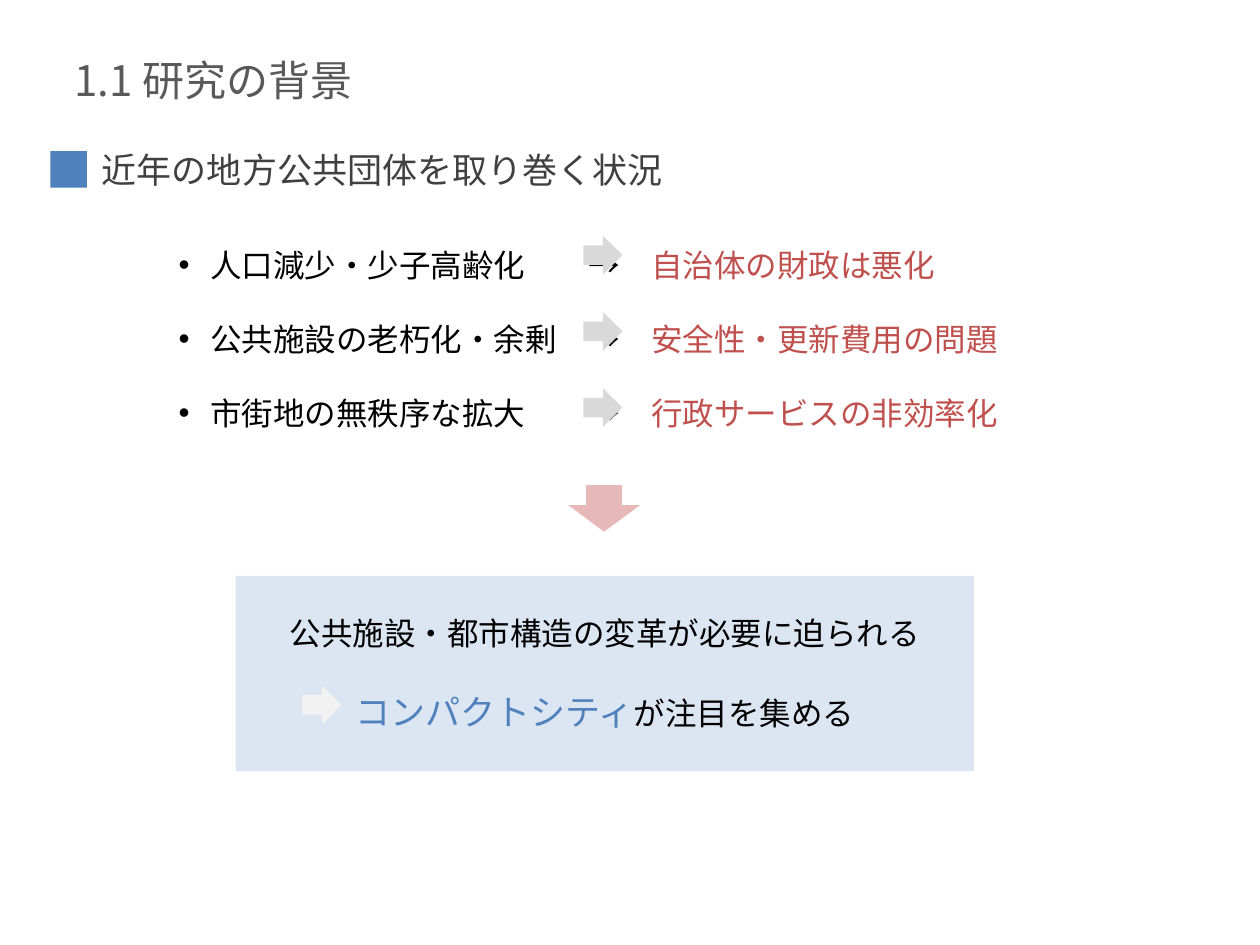
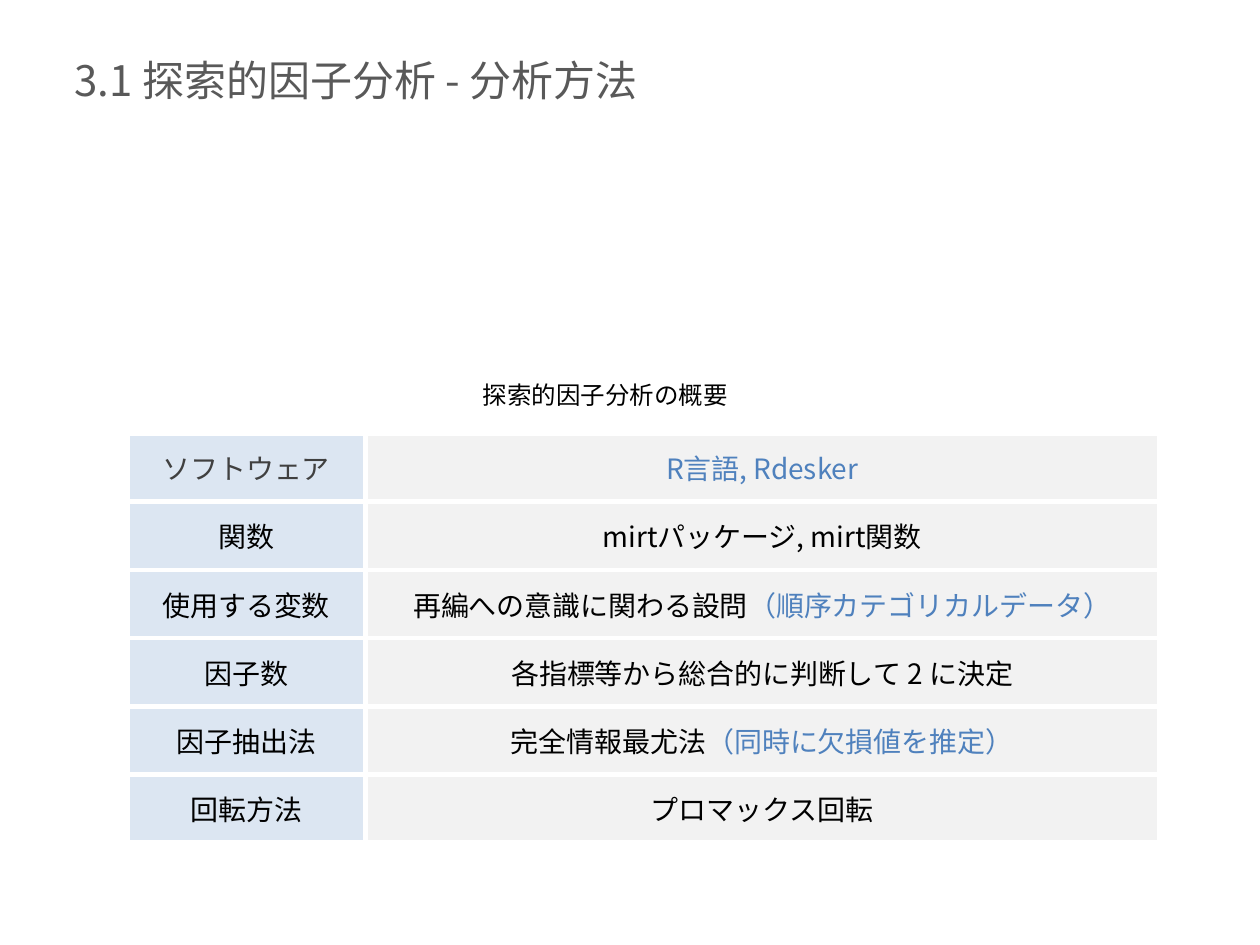
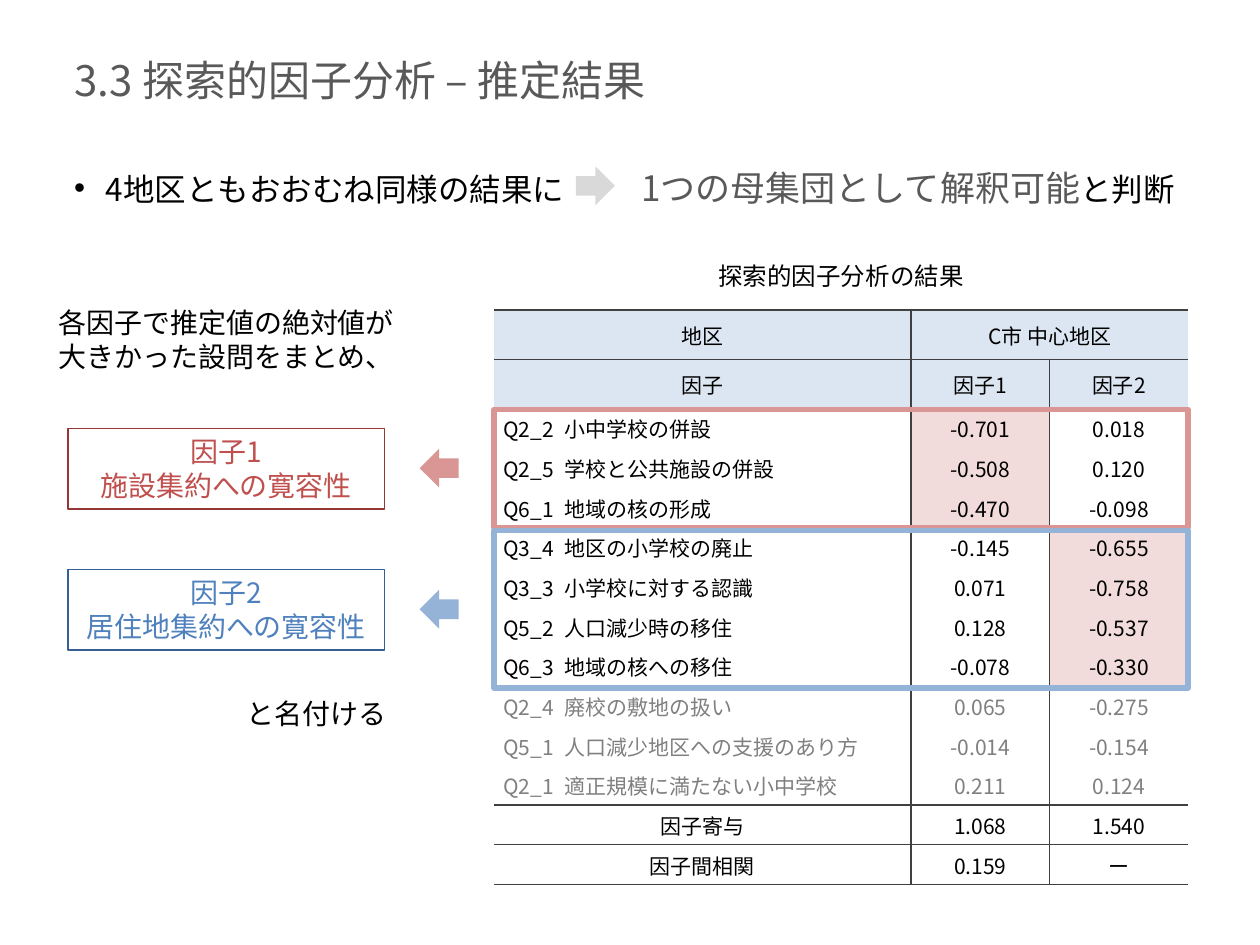
from lxml import etree
from pptx import Presentation
from pptx.dml.color import RGBColor
from pptx.enum import shapes, text
from pptx.oxml import ns
from pptx.util import Inches, Pt

FONT = "Noto Sans CJK JP"
BLACK = RGBColor(0x00, 0x00, 0x00)
WHITE = RGBColor(0xFF, 0xFF, 0xFF)
CHARCOAL = RGBColor(0x40, 0x40, 0x40)
TITLE_GRAY = RGBColor(0x59, 0x59, 0x59)
MUTED = RGBColor(0x80, 0x80, 0x80)
ARROW_GRAY = RGBColor(0xD9, 0xD9, 0xD9)
PALE_GRAY = RGBColor(0xF2, 0xF2, 0xF2)
BLUE = RGBColor(0x4F, 0x81, 0xBD)
DARK_BLUE = RGBColor(0x37, 0x60, 0x92)
SOFT_BLUE = RGBColor(0x95, 0xB3, 0xD7)
PALE_BLUE = RGBColor(0xDC, 0xE6, 0xF2)
RED = RGBColor(0xC0, 0x50, 0x4D)
DARK_RED = RGBColor(0x95, 0x37, 0x35)
SOFT_RED = RGBColor(0xD9, 0x96, 0x94)
ROSE = RGBColor(0xE6, 0xB9, 0xB8)
PALE_RED = RGBColor(0xF2, 0xDC, 0xDB)

SHAPE = shapes.MSO_SHAPE
LEFT, CENTER = text.PP_ALIGN.LEFT, text.PP_ALIGN.CENTER
TOP, MIDDLE = text.MSO_ANCHOR.TOP, text.MSO_ANCHOR.MIDDLE
ARROW_SIZE = 0.31
BULLET_INDENT = 0.25

SITUATIONS = [
    ("人口減少・少子高齢化", "自治体の財政は悪化"),
    ("公共施設の老朽化・余剰", "安全性・更新費用の問題"),
    ("市街地の無秩序な拡大", "行政サービスの非効率化"),
]

METHOD = [
    [("ソフトウェア", CHARCOAL), ("R言語, Rdesker", BLUE)],
    ["関数", "mirtパッケージ, mirt関数"],
    ["使用する変数", "再編への意識に関わる設問", ("（順序カテゴリカルデータ）", BLUE)],
    ["因子数", "各指標等から総合的に判断して 2 に決定"],
    ["因子抽出法", "完全情報最尤法", ("（同時に欠損値を推定）", BLUE)],
    ["回転方法", "プロマックス回転"],
]

ESTIMATES = [
    ("地区", "", "C市 中心地区", ""),
    ("因子", "", "因子1", "因子2"),
    ("Q2_2", "小中学校の併設", "-0.701", "0.018"),
    ("Q2_5", "学校と公共施設の併設", "-0.508", "0.120"),
    ("Q6_1", "地域の核の形成", "-0.470", "-0.098"),
    ("Q3_4", "地区の小学校の廃止", "-0.145", "-0.655"),
    ("Q3_3", "小学校に対する認識", "0.071", "-0.758"),
    ("Q5_2", "人口減少時の移住", "0.128", "-0.537"),
    ("Q6_3", "地域の核への移住", "-0.078", "-0.330"),
    ("Q2_4", "廃校の敷地の扱い", "0.065", "-0.275"),
    ("Q5_1", "人口減少地区への支援のあり方", "-0.014", "-0.154"),
    ("Q2_1", "適正規模に満たない小中学校", "0.211", "0.124"),
    ("因子寄与", "", "1.068", "1.540"),
    ("因子間相関", "", "0.159", "ー"),
]
HEADER_ROWS = range(0, 2)
FACTOR1_ROWS = range(2, 5)
FACTOR2_ROWS = range(5, 9)
MUTED_ROWS = range(9, 12)
SUMMARY_ROWS = range(12, 14)
# Rule widths in points, keyed by the row or column they precede
ROW_RULES = {0: 1, 1: 0.5, 2: 1, 12: 1, 13: 0.5, 14: 1}
COLUMN_RULES = {2: 1, 3: 0.5}


def write(frame, paragraphs, size=18, color=BLACK, align=LEFT, anchor=TOP,
          before=0, spacing=None, bullet=False, tabs=()):
    """Fill a frame; a paragraph lists runs, each a text or (text, colour[, size])."""
    frame.word_wrap = True
    frame.vertical_anchor = anchor
    for i, runs in enumerate(paragraphs):
        paragraph = frame.add_paragraph() if i else frame.paragraphs[0]
        paragraph.alignment = align
        paragraph.space_before = Pt(before)
        if spacing:
            paragraph.line_spacing = spacing
        add_indents(paragraph, bullet, tabs)
        for part in runs:
            words, *style = (part,) if isinstance(part, str) else part
            run = paragraph.add_run()
            run.text = words
            run.font.name = FONT
            run.font.color.rgb = style[0] if style else color
            run.font.size = Pt(style[1] if len(style) > 1 else size)
            etree.SubElement(run.font._element, ns.qn("a:ea"), typeface=FONT)


def add_indents(paragraph, bullet, tabs):
    props = paragraph._p.get_or_add_pPr()
    if bullet:
        props.set("marL", str(Inches(BULLET_INDENT)))
        props.set("indent", str(-Inches(BULLET_INDENT)))
        etree.SubElement(props, ns.qn("a:buFont"), typeface="Arial")
        etree.SubElement(props, ns.qn("a:buChar"), char="•")
    if tabs:
        stops = etree.SubElement(props, ns.qn("a:tabLst"))
        for stop in tabs:
            etree.SubElement(stops, ns.qn("a:tab"), pos=str(Inches(stop)), algn="l")


def add_titled_slide(deck, title):
    slide = deck.slides.add_slide(deck.slide_layouts[5])
    heading = slide.shapes.title
    heading.left, heading.top = Inches(0.49), Inches(0.4)
    heading.width, heading.height = Inches(8.62), Inches(0.52)
    write(heading.text_frame, [[title]], size=24, color=TITLE_GRAY,
          anchor=MIDDLE, spacing=0.9)
    return slide


def add_text(slide, box, paragraphs, **style):
    label = slide.shapes.add_textbox(*map(Inches, box))
    write(label.text_frame, paragraphs, **style)


def add_block(slide, kind, box, fill=None, line=None, line_width=0.75):
    block = slide.shapes.add_shape(kind, *map(Inches, box))
    block.shadow.inherit = False
    if fill is None:
        block.fill.background()
    else:
        block.fill.solid()
        block.fill.fore_color.rgb = fill
    if line is None:
        block.line.fill.background()
    else:
        block.line.color.rgb = line
        block.line.width = Pt(line_width)
    return block


def add_arrow(slide, left, top, fill, rotation=0):
    box = (left, top, ARROW_SIZE, ARROW_SIZE)
    add_block(slide, SHAPE.RIGHT_ARROW, box, fill).rotation = rotation


def add_plain_table(slide, box, widths, heights):
    frame = slide.shapes.add_table(len(heights), len(widths), *map(Inches, box))
    table = frame.table
    table.first_row = table.horz_banding = False
    for column, width in zip(table.columns, widths):
        column.width = Inches(width)
    for row, height in zip(table.rows, heights):
        row.height = Inches(height)
    return table


def set_cell_fill(cell, color):
    if color is None:
        cell.fill.background()
    else:
        cell.fill.solid()
        cell.fill.fore_color.rgb = color


def set_borders(cell, color, left, right, top, bottom):
    """Draw the four sides with widths in points; 0 hides a side."""
    props = cell._tc.get_or_add_tcPr()
    for i, (side, width) in enumerate(zip("LRTB", (left, right, top, bottom))):
        line = etree.Element(ns.qn(f"a:ln{side}"), w=str(Pt(width)))
        if width:
            paint = etree.SubElement(line, ns.qn("a:solidFill"))
            etree.SubElement(paint, ns.qn("a:srgbClr"), val=str(color))
        else:
            etree.SubElement(line, ns.qn("a:noFill"))
        props.insert(i, line)


def build_background(deck):
    slide = add_titled_slide(deck, "1.1 研究の背景")
    add_text(slide, (1.32, 1.75, 8.99, 2),
             [[f"{cause}\t→\t", (effect, RED)] for cause, effect in SITUATIONS],
             before=10, spacing=1.5, bullet=True, tabs=(3.25, 3.75))
    add_text(slide, (0.71, 1.13, 8.02, 0.51), [["近年の地方公共団体を取り巻く状況"]],
             size=20, color=CHARCOAL, before=10)
    add_block(slide, SHAPE.RECTANGLE, (0.4, 1.2, 0.29, 0.29), BLUE)

    conclusion = add_block(slide, SHAPE.RECTANGLE, (1.87, 4.57, 5.86, 1.55), PALE_BLUE)
    write(conclusion.text_frame,
          [["公共施設・都市構造の変革が必要に迫られる"],
           [("コンパクトシティ", BLUE, 20), "が注目を集める"]],
          align=CENTER, anchor=MIDDLE, before=10)
    conclusion.text_frame.paragraphs[1].line_spacing = 1.5

    down = add_block(slide, SHAPE.DOWN_ARROW, (4.51, 3.85, 0.57, 0.37), ROSE)
    down.adjustments[1] = 0.57
    for i in range(len(SITUATIONS)):
        add_arrow(slide, 4.63, 1.87 + 0.605 * i, ARROW_GRAY)
    add_arrow(slide, 2.4, 5.44, PALE_GRAY)


def build_method(deck):
    slide = add_titled_slide(deck, "3.1 探索的因子分析 - 分析方法")
    table = add_plain_table(slide, (1.01, 3.44, 8.19, 3.25), (1.89, 6.3),
                            [3.25 / len(METHOD)] * len(METHOD))
    for r, (item, *description) in enumerate(METHOD):
        for c, (runs, fill) in enumerate((([item], PALE_BLUE), (description, PALE_GRAY))):
            cell = table.cell(r, c)
            write(cell.text_frame, [runs], size=16, align=CENTER)
            cell.vertical_anchor = MIDDLE
            set_cell_fill(cell, fill)
            set_borders(cell, WHITE, 3, 3, 3, 3)
    add_text(slide, (2.3, 2.97, 5.01, 0.34), [["探索的因子分析の概要"]],
             size=14, align=CENTER)


def estimate_fill(r, c):
    if r in HEADER_ROWS:
        return PALE_BLUE
    if (c == 2 and r in FACTOR1_ROWS) or (c == 3 and r in FACTOR2_ROWS):
        return PALE_RED
    return None


def add_estimates(slide):
    heights = [0.39 if r in HEADER_ROWS else 0.315 for r in range(len(ESTIMATES))]
    table = add_plain_table(slide, (3.92, 2.46, 5.51, 4.57), (0.55, 2.76, 1.1, 1.1), heights)
    for r in (*HEADER_ROWS, *SUMMARY_ROWS):
        table.cell(r, 0).merge(table.cell(r, 1))
    table.cell(0, 2).merge(table.cell(0, 3))
    for r, values in enumerate(ESTIMATES):
        for c, value in enumerate(values):
            cell = table.cell(r, c)
            if cell.is_spanned:
                continue
            write(cell.text_frame, [[value]], size=12,
                  color=MUTED if r in MUTED_ROWS else BLACK,
                  align=LEFT if c == 1 else CENTER)
            cell.vertical_anchor = MIDDLE
            cell.margin_left = cell.margin_right = cell.margin_top = Inches(0.01)
            cell.margin_bottom = 0
            set_cell_fill(cell, estimate_fill(r, c))
            next_column = c + (cell.span_width if cell.is_merge_origin else 1)
            set_borders(cell, CHARCOAL, COLUMN_RULES.get(c, 0),
                        COLUMN_RULES.get(next_column, 0),
                        ROW_RULES.get(r, 0), ROW_RULES.get(r + 1, 0))


def add_factor(slide, name, meaning, top, color, outline, accent, group_top, group_height):
    """Frame a group of table rows and point from it to the factor's name."""
    add_block(slide, SHAPE.RECTANGLE, (3.92, group_top, 5.51, group_height),
              line=accent, line_width=3)
    add_arrow(slide, 3.33, top + 0.16, accent, rotation=180)
    label = add_block(slide, SHAPE.RECTANGLE, (0.54, top, 2.51, 0.64), line=outline)
    write(label.text_frame, [[name], [meaning]], size=16, color=color, align=CENTER)


def build_results(deck):
    slide = add_titled_slide(deck, "3.3 探索的因子分析 – 推定結果")
    add_estimates(slide)
    add_text(slide, (3.92, 2.02, 5.51, 0.34), [["探索的因子分析の結果"]],
             size=14, align=CENTER)
    add_factor(slide, "因子1", "施設集約への寛容性", 3.4, RED, DARK_RED, SOFT_RED, 3.25, 0.94)
    add_factor(slide, "因子2", "居住地集約への寛容性", 4.52, BLUE, DARK_BLUE, SOFT_BLUE, 4.21, 1.25)
    add_arrow(slide, 4.57, 1.32, ARROW_GRAY)
    add_text(slide, (0.37, 2.38, 5, 0.64),
             [["各因子で推定値の絶対値が"], ["大きかった設問をまとめ、"]], size=16)
    add_text(slide, (0.49, 1.31, 8.99, 1.09),
             [["4地区ともおおむね同様の結果に\t",
               ("1つの母集団として解釈可能", TITLE_GRAY, 20), "と判断"]],
             before=10, spacing=0.9, bullet=True, tabs=(4.5,))
    add_text(slide, (1.86, 5.48, 1.78, 0.37), [["と名付ける"]], size=16)


def main():
    deck = Presentation()
    deck.slide_width, deck.slide_height = Inches(10), Inches(7.5)
    build_background(deck)
    build_method(deck)
    build_results(deck)
    deck.save("out.pptx")


if __name__ == "__main__":
    main()
